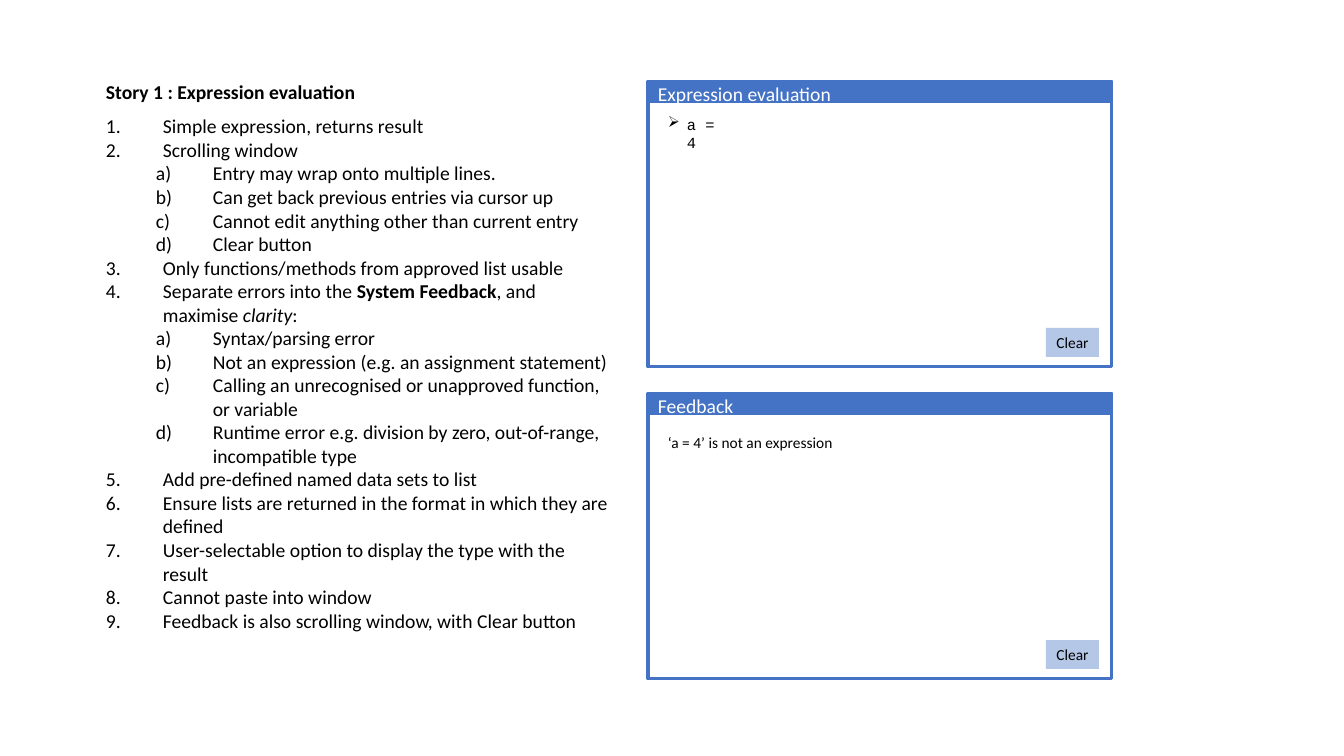
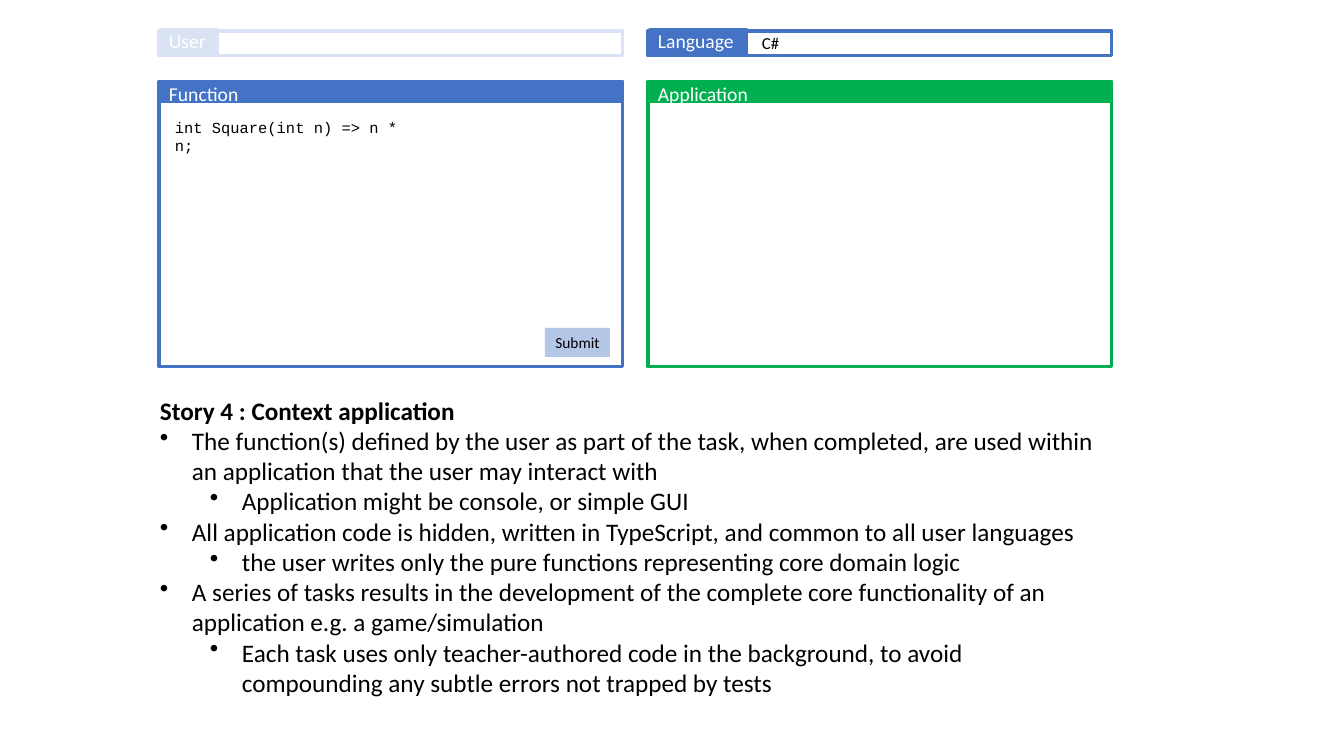
"""Build two story slides with mock editor panels."""
from dataclasses import dataclass
from lxml.etree import SubElement
from pptx import Presentation
from pptx.dml.color import RGBColor as Rgb
from pptx.enum.shapes import MSO_SHAPE as Shape
from pptx.enum.text import MSO_ANCHOR as Anchor, PP_ALIGN as Align
from pptx.oxml.ns import qn
from pptx.util import Emu, Pt


@dataclass(frozen=True)
class Theme:
    blue: str = "4472C4"
    pale: str = "DAE3F3"
    green: str = "00B050"
    key: str = "B4C7E7"
    ink: str = "000000"
    white: str = "FFFFFF"
    sans: str = "Calibri"
    mono: str = "Courier New"
    small: int = 11
    entry: int = 12
    label: int = 14
    story: int = 18
    edge: float = 2.25


T = Theme()
SCALE = 914400 / 100.8
WIDE, HIGH = 1344, 756
LEFT, RIGHT = 159, 648
TOP, LOW = 82, 394
PANEL_W, PANEL_H, BAND_H = 464, 285, 19
SLOT_Y, SLOT_H = 31, 25
KEY_H, KEY_Y, KEY_GAP = 29, 246, 13

EVAL = ("Story 1 : Expression evaluation", [
    (0, "Simple expression, returns result"),
    (0, "Scrolling window"),
    (1, "Entry may wrap onto multiple lines."),
    (1, "Can get back previous entries via cursor up"),
    (1, "Cannot edit anything other than current entry"),
    (1, "Clear button"),
    (0, "Only functions/methods from approved list usable"),
    (0, [("Separate errors into the ", {}), ("System Feedback", {"bold": True}),
         (", and maximise ", {}), ("clarity", {"italic": True}), (":", {})]),
    (1, "Syntax/parsing error"),
    (1, "Not an expression (e.g. an assignment statement)"),
    (1, "Calling an unrecognised or unapproved function, or variable"),
    (1, "Runtime error e.g. division by zero, out-of-range, incompatible type"),
    (0, "Add pre-defined named data sets to list"),
    (0, "Ensure lists are returned in the format in which they are defined"),
    (0, "User-selectable option to display the type with the result"),
    (0, "Cannot paste into window"),
    (0, "Feedback is also scrolling window, with Clear button"),
])
CONTEXT = ("Story 4 : Context application", [
    (0, "The function(s) defined by the user as part of the task, when completed, "
        "are used within an application that the user may interact with"),
    (1, "Application might be console, or simple GUI"),
    (0, "All application code is hidden, written in TypeScript, "
        "and common to all user languages"),
    (1, "the user writes only the pure functions representing core domain logic"),
    (0, "A series of tasks results in the development of the complete core "
        "functionality of an application e.g. a game/simulation"),
    (1, "Each task uses only teacher-authored code in the background, "
        "to avoid compounding any subtle errors not trapped by tests"),
])
NUMBERS = [("buAutoNum", {"type": "arabicPeriod"}),
           ("buAutoNum", {"type": "alphaLcParenR"})]
DOTS = [("buChar", {"char": "•"})] * 2
ARROW = ("buChar", {"char": "➢"})


def px(n):
    return Emu(round(n * SCALE))


def box(shapes, at, fill=None, line=None):
    rect = shapes.add_shape(Shape.RECTANGLE, *map(px, at))
    rect.shadow.inherit = False
    if fill:
        rect.fill.solid()
        rect.fill.fore_color.rgb = Rgb.from_string(fill)
    else:
        rect.fill.background()
    if line:
        rect.line.color.rgb = Rgb.from_string(line)
        rect.line.width = Pt(T.edge)
    else:
        rect.line.fill.background()
    return rect


def write(para, text, size, color=T.ink, font=T.sans, **style):
    run = para.add_run()
    run.text = text
    look = {"size": Pt(size), "name": font, "bold": False, **style}
    for name, value in look.items():
        setattr(run.font, name, value)
    run.font.color.rgb = Rgb.from_string(color)


def frame(shapes, at):
    area = shapes.add_textbox(*map(px, at)).text_frame
    area.word_wrap = True
    return area


def note(shapes, at, text, size, **style):
    para = frame(shapes, at).paragraphs[0]
    write(para, text, size, **style)
    return para


def mark(para, bullet, left, hang):
    props = para._p.get_or_add_pPr()
    props.set("marL", str(px(left)))
    props.set("indent", str(-px(hang)))
    tag, data = bullet
    SubElement(props, qn("a:" + tag), data)


def button(shapes, left, top, text, width):
    rect = box(shapes, (left + PANEL_W - KEY_GAP - width, top + KEY_Y, width, KEY_H), T.key)
    area = rect.text_frame
    area.word_wrap = False
    area.vertical_anchor = Anchor.MIDDLE
    para = area.paragraphs[0]
    para.alignment = Align.CENTER
    write(para, text, T.small)


def panel(slide, left, top, title, color=T.blue, key=None):
    shapes = slide.shapes.add_group_shape().shapes
    box(shapes, (left, top, PANEL_W, PANEL_H), line=color)
    box(shapes, (left, top, PANEL_W, BAND_H), color, color)
    note(shapes, (left, top - 5, 240, 34), title, T.label, color=T.white)
    if key:
        button(shapes, left, top, *key)
    return shapes


def slot(slide, left, title, width, color):
    shapes = slide.shapes.add_group_shape().shapes
    box(shapes, (left, SLOT_Y, PANEL_W, SLOT_H), line=color)
    box(shapes, (left + 2, SLOT_Y - 1, width, SLOT_H), color, color)
    note(shapes, (left, SLOT_Y - 7, width + 10, 34), title, T.label, color=T.white)
    return shapes


def story(slide, at, content, size, bullets, hang, step=50, **head):
    title, items = content
    area = frame(slide.shapes, at)
    first = area.paragraphs[0]
    for name, value in head.items():
        setattr(first, name, value)
    write(first, title, size, bold=True)
    for level, text in items:
        para = area.add_paragraph()
        para.level = level
        mark(para, bullets[level], hang + step * level, hang)
        for part, style in [(text, {})] if isinstance(text, str) else text:
            write(para, part, size, **style)


deck = Presentation()
deck.slide_width, deck.slide_height = px(WIDE), px(HIGH)
first, second = [deck.slides.add_slide(deck.slide_layouts[6]) for _ in range(2)]

clear = ("Clear", 53)
shell = panel(first, RIGHT, TOP, "Expression evaluation", key=clear)
prompt = note(shell, (658, 110, 82, 48), "a = 4", T.small, font=T.mono)
mark(prompt, ARROW, 19, 19)
reply = panel(first, RIGHT, LOW, "Feedback", key=clear)
note(reply, (658, 428, 220, 29), "‘a = 4’ is not an expression", T.small)
story(first, (96, 73, 525, 570), EVAL, T.label, NUMBERS, 57,
      line_spacing=1.07, space_after=Pt(8))

code = panel(second, LEFT, TOP, "Function", key=("Submit", 65))
note(code, (165, 113, 249, 48), "int Square(int n) => n * n;", T.small, font=T.mono)
panel(second, RIGHT, TOP, "Application", T.green)
slot(second, LEFT, "User", 57, T.pale)
lang = slot(second, RIGHT, "Language", 97, T.blue)
note(lang, (752, 28, 60, 30), "C#", T.entry)
story(second, (150, 390, 967, 316), CONTEXT, T.story, DOTS, 32)

deck.save("out.pptx")
